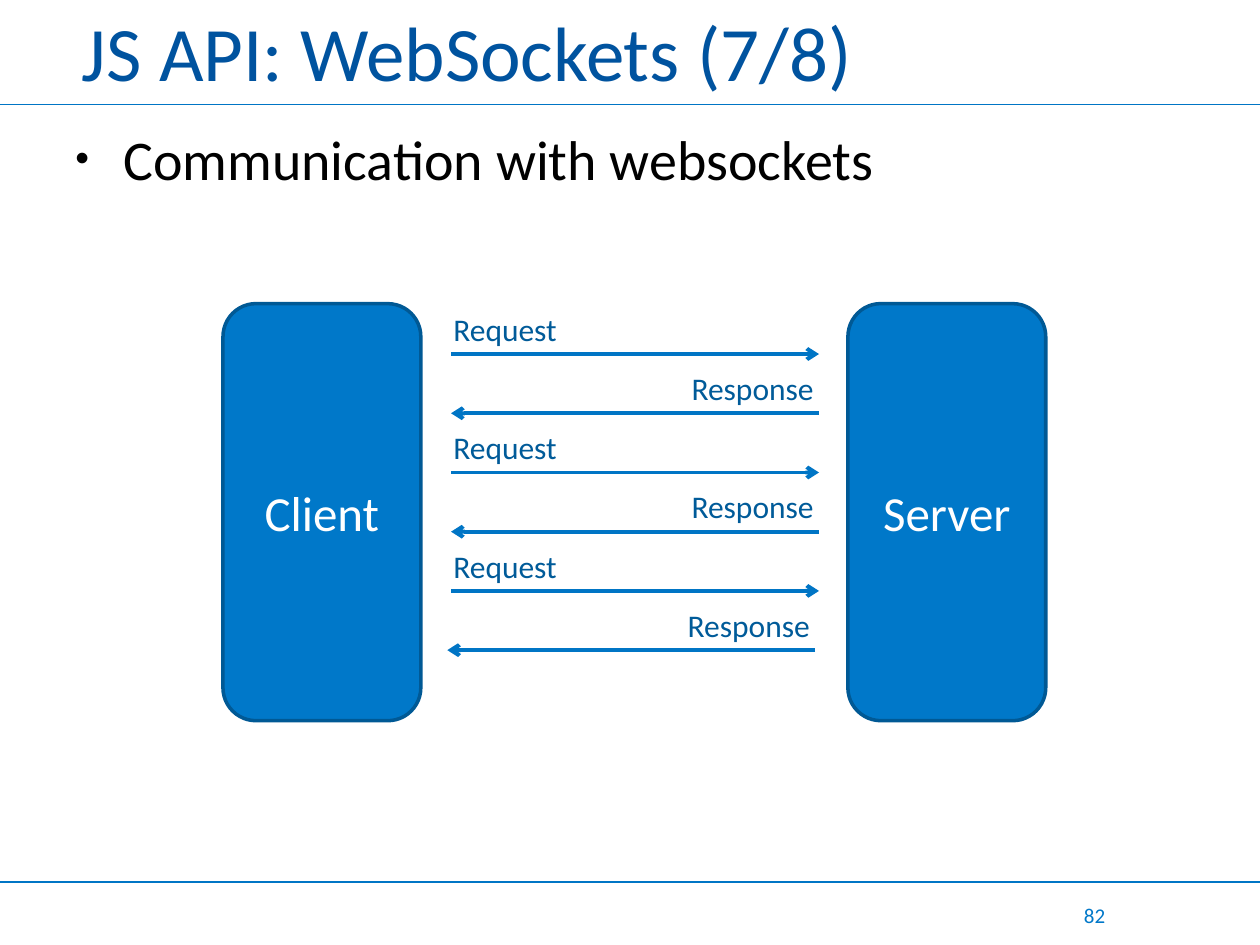
from dataclasses import dataclass

from lxml.etree import SubElement
from pptx import Presentation
from pptx.dml.color import RGBColor
from pptx.enum.shapes import MSO_CONNECTOR, MSO_SHAPE
from pptx.enum.text import MSO_ANCHOR, PP_ALIGN
from pptx.oxml.ns import qn
from pptx.util import Inches, Pt


@dataclass(frozen=True)
class Theme:
    font: str = "Calibri"
    title: str = "00539F"
    text: str = "000000"
    line: str = "0075C5"
    fill: str = "0078C9"
    edge: str = "005995"
    label: str = "005B99"
    white: str = "FFFFFF"
    title_size: int = 44
    body_size: int = 32
    node_size: int = 28
    label_size: int = 18
    page_size: int = 12


theme = Theme()


def write(shape, text, size, color, align=PP_ALIGN.LEFT, anchor=MSO_ANCHOR.TOP):
    """Put one formatted run into the shape and return its paragraph."""
    frame = shape.text_frame
    frame.word_wrap = True
    frame.vertical_anchor = anchor
    para = frame.paragraphs[0]
    para.alignment = align
    run = para.add_run()
    run.text = text
    run.font.name = theme.font
    run.font.size = Pt(size)
    run.font.color.rgb = RGBColor.from_string(color)
    return para


def draw(start, end, y, width):
    """Draw a horizontal line without a shadow and return its XML line element."""
    line = slide.shapes.add_connector(
        MSO_CONNECTOR.STRAIGHT, Inches(start), Inches(y), Inches(end), Inches(y))
    line.line.color.rgb = RGBColor.from_string(theme.line)
    line.line.width = Pt(width)
    props = line._element.spPr
    SubElement(props, qn("a:effectLst"))
    return props.find(qn("a:ln"))


deck = Presentation()
deck.slide_width, deck.slide_height = Inches(10), Inches(7.5)
slide = deck.slides.add_slide(deck.slide_layouts[5])

# Rules above and below the content
for y in (0.83, 7):
    draw(0, 10, y, 0.75)

# Title
title = slide.shapes.title
title.left, title.top = Inches(0.55), Inches(0.08)
title.width, title.height = Inches(9), Inches(0.64)
write(title, "JS API: WebSockets (7/8)", theme.title_size, theme.title,
      anchor=MSO_ANCHOR.MIDDLE)

# Bullet
body = slide.shapes.add_textbox(Inches(0.5), Inches(0.94), Inches(9), Inches(5.76))
para = write(body, "Communication with websockets", theme.body_size, theme.text)
props = para._p.get_or_add_pPr()
props.set("marL", str(Inches(0.38)))
props.set("indent", str(Inches(-0.38)))
SubElement(props, qn("a:buSzPct"), val="70000")
SubElement(props, qn("a:buFont"), typeface="Arial")
SubElement(props, qn("a:buChar"), char="•")

# Page number
page = slide.shapes.add_textbox(Inches(8.2), Inches(7.15), Inches(0.67), Inches(0.23))
write(page, "82", theme.page_size, theme.fill, PP_ALIGN.RIGHT, MSO_ANCHOR.MIDDLE)

# Client and server
for name, left in (("Client", 1.77), ("Server", 6.73)):
    node = slide.shapes.add_shape(
        MSO_SHAPE.ROUNDED_RECTANGLE,
        Inches(left), Inches(2.41), Inches(1.57), Inches(3.31))
    node.shadow.inherit = False
    node.fill.solid()
    node.fill.fore_color.rgb = RGBColor.from_string(theme.fill)
    node.line.color.rgb = RGBColor.from_string(theme.edge)
    node.line.width = Pt(2)
    write(node, name, theme.node_size, theme.white, PP_ALIGN.CENTER, MSO_ANCHOR.MIDDLE)

# Messages: requests go right, responses go left; the last one sits a little left
near, far, first, step, count = 3.58, 6.5, 2.81, 0.47, 6
for row in range(count):
    y = first + row * step
    shift = -0.03 if row == count - 1 else 0
    if row % 2 == 0:
        word, start, end, left, width = "Request", near, far, 3.5, 1.1
    else:
        word, start, end, left, width = "Response", far, near, 5.39, 1.26
    stroke = draw(start + shift, end + shift, y, 2.25)
    SubElement(stroke, qn("a:tailEnd"), type="arrow")
    label = slide.shapes.add_textbox(
        Inches(left + shift), Inches(y - 0.4), Inches(width), Inches(0.4))
    write(label, word, theme.label_size, theme.label)

deck.save("out.pptx")
